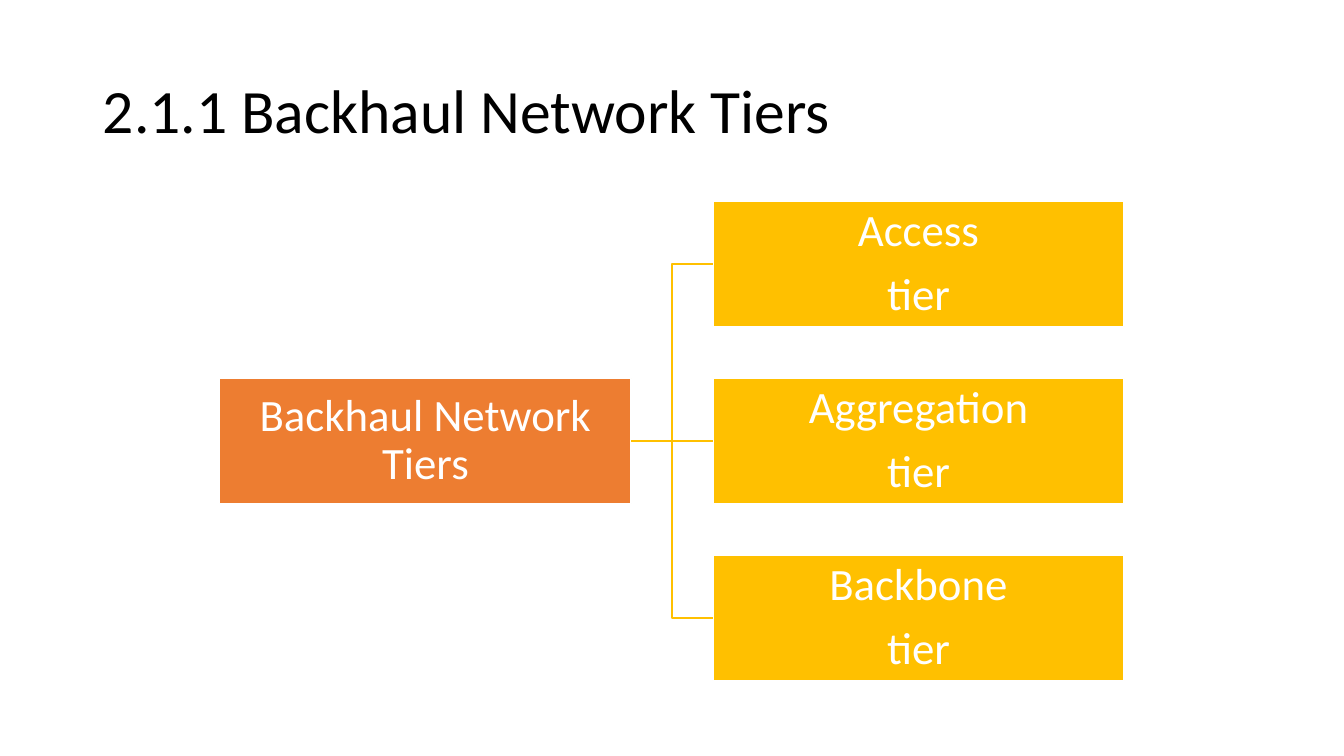
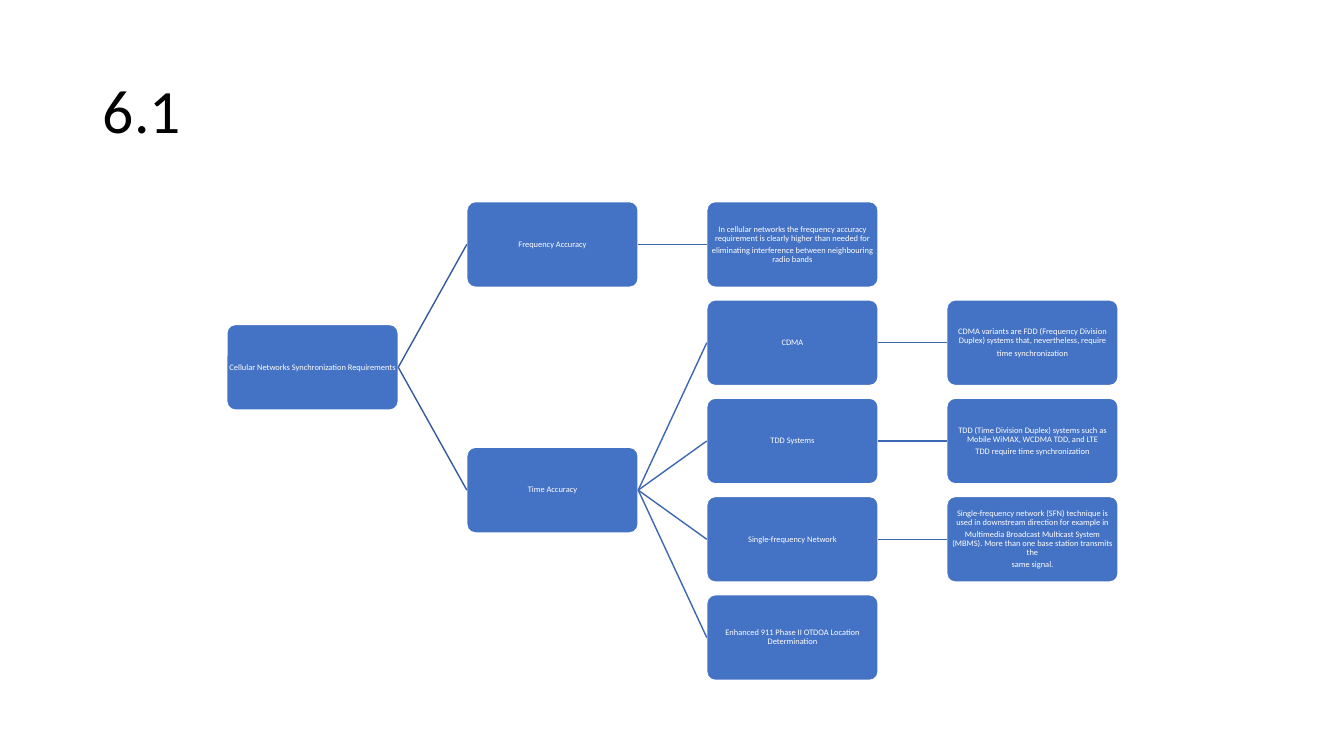
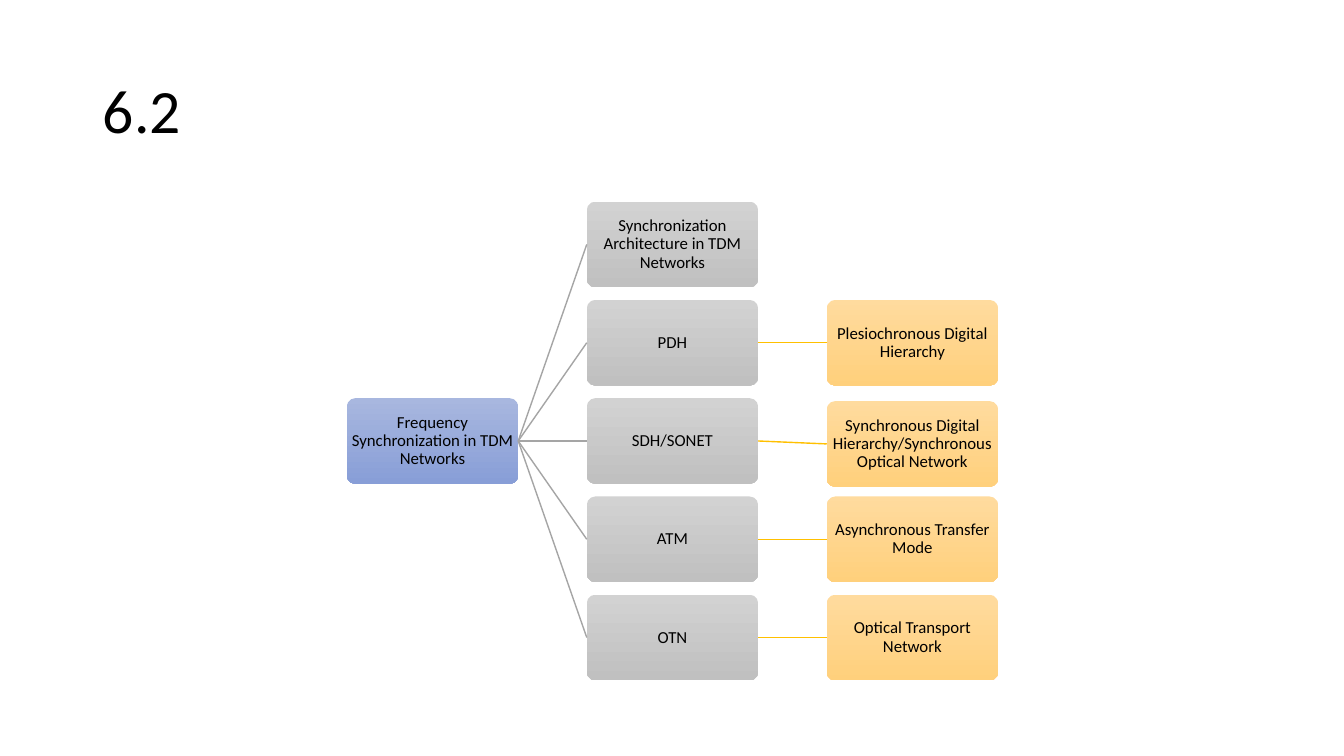
"""Build three slides of tree diagrams about backhaul networks and their synchronization."""
from dataclasses import dataclass

from lxml import etree
from pptx import Presentation
from pptx.dml.color import RGBColor
from pptx.enum.shapes import MSO_CONNECTOR, MSO_SHAPE
from pptx.enum.text import MSO_ANCHOR, MSO_AUTO_SIZE, PP_ALIGN
from pptx.oxml.ns import qn
from pptx.util import Inches, Pt

RECTANGLE = MSO_SHAPE.RECTANGLE
ROUNDED = MSO_SHAPE.ROUNDED_RECTANGLE
STRAIGHT = MSO_CONNECTOR.STRAIGHT
ELBOW = MSO_CONNECTOR.ELBOW
MIDDLE = MSO_ANCHOR.MIDDLE
NO_AUTOFIT = MSO_AUTO_SIZE.NONE
LEFT = PP_ALIGN.LEFT
CENTER = PP_ALIGN.CENTER
LEFT_SIDE, RIGHT_SIDE = 1, 3
TITLE_ONLY = 5


@dataclass(frozen=True)
class Theme:
    """Colours and type sizes of the whole presentation."""
    font: str = "Calibri"
    title_size: int = 44
    tier_size: int = 32
    requirement_size: int = 6
    technology_size: int = 12
    line_width: int = 1
    line_spacing: float = 0.9
    space_after: float = 0.35
    black: str = "000000"
    white: str = "FFFFFF"
    orange: str = "ED7D31"
    yellow: str = "FFC000"
    blue: str = "4472C4"
    dark_blue: str = "365B9D"
    mid_blue: str = "3E67B2"
    grey: str = "A5A5A5"
    blue_fade: tuple = ("A8B7DF", "889ED7")
    grey_fade: tuple = ("D2D2D2", "C0C0C0")
    yellow_fade: tuple = ("FFDB9E", "FFD07C")


THEME = Theme()


@dataclass(frozen=True)
class Style:
    """Look of a box and of the line that leads to it."""
    fill: tuple
    text: str
    link: str
    outline: str = ""


@dataclass(frozen=True)
class Grid:
    """Place, size and type of the boxes in one tree."""
    left: float
    column_pitch: float
    row_pitch: float
    width: float
    height: float
    outline_shape: int
    link_shape: int
    text_size: int
    inset: float
    top: float = 2.0


@dataclass(frozen=True)
class Node:
    """A box in a tree, with the boxes that hang from it."""
    paragraphs: tuple
    row: float
    style: Style
    children: tuple = ()


TIER_ROOT = Style((THEME.orange,), THEME.white, THEME.yellow, THEME.white)
TIER = Style((THEME.yellow,), THEME.white, THEME.yellow, THEME.white)
REQUIREMENT = Style((THEME.blue,), THEME.white, THEME.dark_blue, THEME.white)
DETAIL = Style((THEME.blue,), THEME.white, THEME.mid_blue, THEME.white)
TDM_ROOT = Style(THEME.blue_fade, THEME.black, THEME.grey)
TECHNOLOGY = Style(THEME.grey_fade, THEME.black, THEME.grey)
LONG_NAME = Style(THEME.yellow_fade, THEME.black, THEME.yellow)

SMALL_BOX = {
    "column_pitch": 2.38, "row_pitch": 3.9 / 4, "width": 1.7, "height": 0.85,
    "outline_shape": ROUNDED, "link_shape": STRAIGHT,
}
TIER_GRID = Grid(2.18, 4.89, 3.51 / 2, 4.08, 1.24, RECTANGLE, ELBOW, THEME.tier_size, 0.02)
REQUIREMENT_GRID = Grid(left=2.25, text_size=THEME.requirement_size, inset=0, **SMALL_BOX)
TECHNOLOGY_GRID = Grid(left=3.44, text_size=THEME.technology_size, inset=0.01, **SMALL_BOX)

TIERS = Node(("Backhaul Network Tiers",), 1, TIER_ROOT, tuple(
    Node((name, "tier"), row, TIER)
    for row, name in enumerate(("Access", "Aggregation", "Backbone"))
))

REQUIREMENTS = Node(("Cellular Networks Synchronization Requirements",), 1.25, REQUIREMENT, (
    Node(("Frequency Accuracy",), 0, REQUIREMENT, (
        Node((
            "In cellular networks the frequency accuracy requirement is clearly higher than needed for",
            "eliminating interference between neighbouring radio bands",
        ), 0, DETAIL),
    )),
    Node(("Time Accuracy",), 2.5, REQUIREMENT, (
        Node(("CDMA",), 1, DETAIL, (
            Node((
                "CDMA variants are FDD (Frequency Division Duplex) systems that, nevertheless, require",
                "time synchronization",
            ), 1, DETAIL),
        )),
        Node(("TDD Systems",), 2, DETAIL, (
            Node((
                "TDD (Time Division Duplex) systems such as Mobile WiMAX, WCDMA TDD, and LTE",
                "TDD require time synchronization",
            ), 2, DETAIL),
        )),
        Node(("Single-frequency Network",), 3, DETAIL, (
            Node((
                "Single-frequency network (SFN) technique is used in downstream direction for example in",
                "Multimedia Broadcast Multicast System (MBMS). More than one base station transmits the",
                "same signal.",
            ), 3, DETAIL),
        )),
        Node(("Enhanced 911 Phase II OTDOA Location Determination",), 4, DETAIL),
    )),
))


def technology(name, row, long_name, long_name_row):
    """Return a technology node followed by its spelled-out name."""
    return Node((name,), row, TECHNOLOGY, (Node((long_name,), long_name_row, LONG_NAME),))


TECHNOLOGIES = Node(("Frequency Synchronization in TDM Networks",), 2, TDM_ROOT, (
    Node(("Synchronization Architecture in TDM Networks",), 0, TECHNOLOGY),
    technology("PDH", 1, "Plesiochronous Digital Hierarchy", 1),
    technology("SDH/SONET", 2, "Synchronous Digital Hierarchy/Synchronous Optical Network", 2.03),
    technology("ATM", 3, "Asynchronous Transfer Mode", 3),
    technology("OTN", 4, "Optical Transport Network", 4),
))


def rgb(value):
    """Return a colour from its hexadecimal notation."""
    return RGBColor.from_string(value)


def add_run(paragraph, text, size, color):
    """Add a formatted run to a paragraph."""
    paragraph.line_spacing = THEME.line_spacing
    run = paragraph.add_run()
    run.text = text
    run.font.name = THEME.font
    run.font.size = Pt(size)
    run.font.color.rgb = rgb(color)


def paint(shape, style):
    """Give a box its solid or fading fill and its outline."""
    shape.shadow.inherit = False
    if len(style.fill) == 1:
        shape.fill.solid()
        shape.fill.fore_color.rgb = rgb(style.fill[0])
    else:
        shape.fill.gradient()
        shape.fill.gradient_angle = 270
        for stop, color in zip(shape.fill.gradient_stops, style.fill):
            stop.color.rgb = rgb(color)
    if style.outline:
        shape.line.color.rgb = rgb(style.outline)
        shape.line.width = Pt(THEME.line_width)
    else:
        shape.line.fill.background()


def add_box(slide, grid, node, column):
    """Add the box of a node at its place in the grid."""
    box = slide.shapes.add_shape(
        grid.outline_shape,
        Inches(grid.left + column * grid.column_pitch),
        Inches(grid.top + node.row * grid.row_pitch),
        Inches(grid.width), Inches(grid.height),
    )
    if grid.outline_shape == ROUNDED:
        box.adjustments[0] = 0.1
    paint(box, node.style)
    frame = box.text_frame
    frame.word_wrap = True
    frame.vertical_anchor = MIDDLE
    frame.margin_left = frame.margin_right = Inches(grid.inset)
    frame.margin_top = frame.margin_bottom = Inches(grid.inset)
    for index, text in enumerate(node.paragraphs):
        paragraph = frame.add_paragraph() if index else frame.paragraphs[0]
        paragraph.alignment = CENTER
        paragraph.space_after = Pt(grid.text_size * THEME.space_after)
        add_run(paragraph, text, grid.text_size, node.style.text)
    return box


def add_link(slide, kind, parent_box, child_box, color):
    """Join the right side of one box to the left side of another."""
    link = slide.shapes.add_connector(kind, 0, 0, 0, 0)
    link.begin_connect(parent_box, RIGHT_SIDE)
    link.end_connect(child_box, LEFT_SIDE)
    link.line.color.rgb = rgb(color)
    link.line.width = Pt(THEME.line_width)
    etree.SubElement(link._element.spPr, qn("a:effectLst"))


def add_tree(slide, grid, node, column=0):
    """Add a node and everything that hangs from it."""
    box = add_box(slide, grid, node, column)
    for child in node.children:
        child_box = add_tree(slide, grid, child, column + 1)
        kind = STRAIGHT if child.row == node.row else grid.link_shape
        add_link(slide, kind, box, child_box, child.style.link)
    return box


def add_titled_slide(deck, text):
    """Add a slide with a formatted title."""
    slide = deck.slides.add_slide(deck.slide_layouts[TITLE_ONLY])
    title = slide.shapes.title
    title.left, title.top = Inches(0.92), Inches(0.4)
    title.width, title.height = Inches(11.5), Inches(1.45)
    frame = title.text_frame
    frame.auto_size = NO_AUTOFIT
    frame.word_wrap = True
    frame.vertical_anchor = MIDDLE
    frame.paragraphs[0].alignment = LEFT
    add_run(frame.paragraphs[0], text, THEME.title_size, THEME.black)
    return slide


def main():
    """Build and save the presentation."""
    deck = Presentation()
    deck.slide_width, deck.slide_height = Inches(13.33), Inches(7.5)
    for title, grid, tree in (
        ("2.1.1 Backhaul Network Tiers", TIER_GRID, TIERS),
        ("6.1", REQUIREMENT_GRID, REQUIREMENTS),
        ("6.2", TECHNOLOGY_GRID, TECHNOLOGIES),
    ):
        add_tree(add_titled_slide(deck, title), grid, tree)
    deck.save("out.pptx")


if __name__ == "__main__":
    main()
